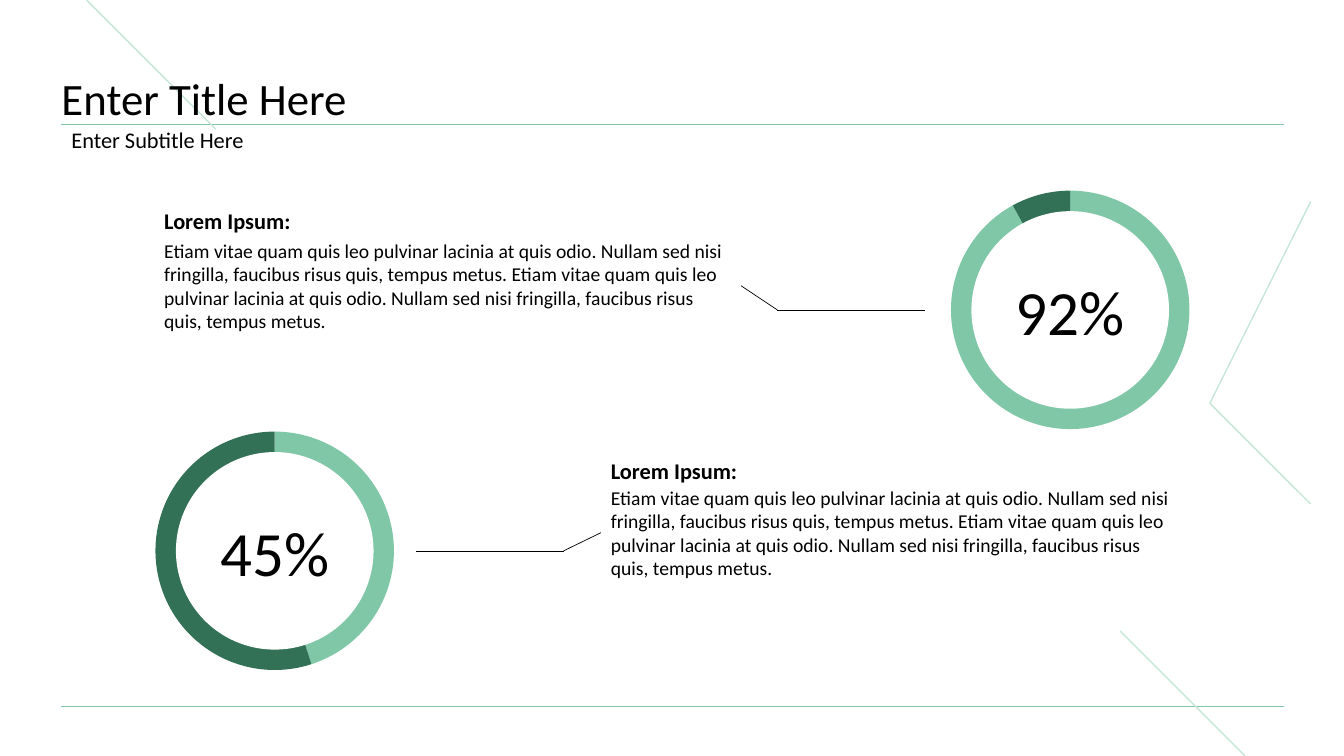
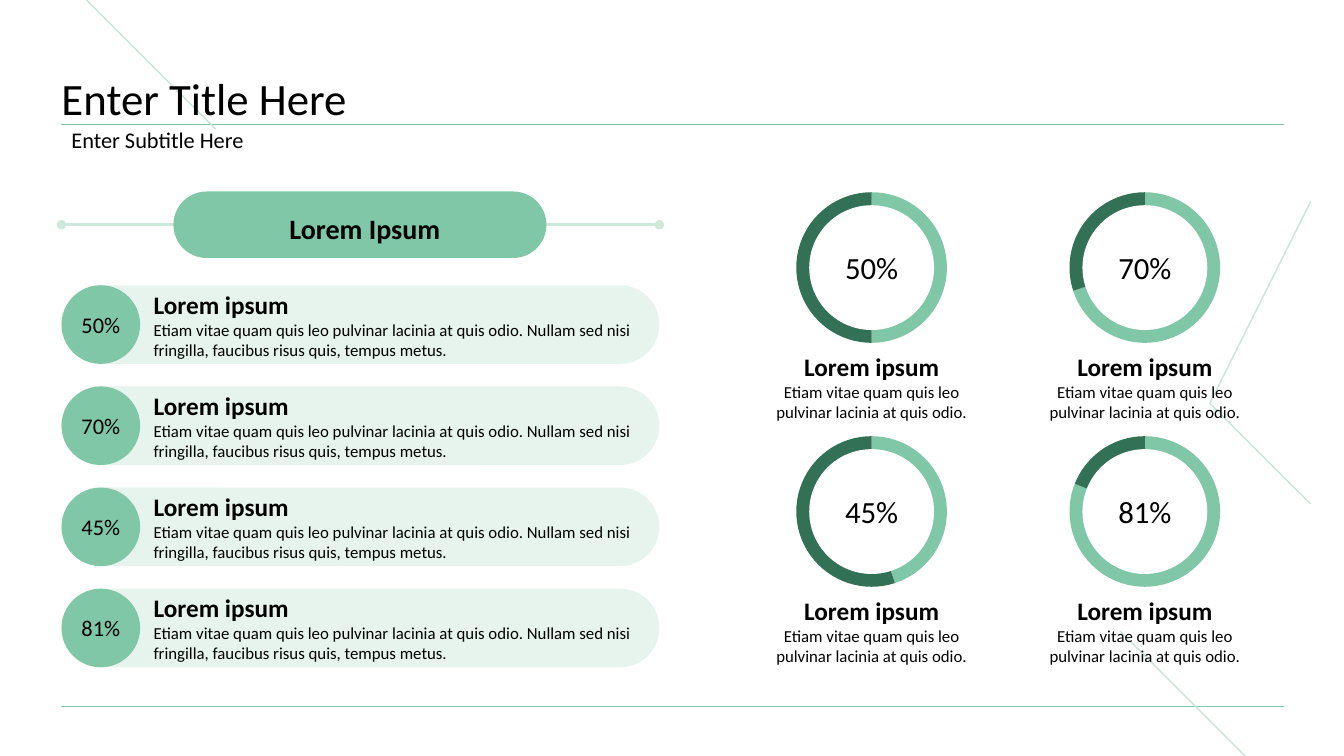
from dataclasses import dataclass

import lxml.etree
import pptx
import pptx.chart.data
import pptx.dml.color
import pptx.enum.chart
import pptx.enum.shapes
import pptx.enum.text
import pptx.oxml.ns
import pptx.shapes.base
import pptx.shapes.connector
import pptx.slide
import pptx.util

Inches = pptx.util.Inches
Align = pptx.enum.text.PP_ALIGN
Anchor = pptx.enum.text.MSO_ANCHOR
Preset = pptx.enum.shapes.MSO_SHAPE
qn = pptx.oxml.ns.qn

FONT = "Calibri"
COLORS = {
    "text": "000000",
    "white": "FFFFFF",
    "green": "80C7A7",
    "dark": "327155",
    "decoration": "C6E6D7",
    "rail": "CCE9DC",
    "pale": "E6F4ED",
}
MARGIN, CONTENT_WIDTH = 0.61, 12.12
HOLE_RATIO = 0.82
NO_INSETS = (0, 0, 0, 0)
BOX_INSETS = (0.1, 0.05, 0.1, 0.05)
SHORT_TEXT = "Etiam vitae quam quis leo pulvinar lacinia at quis odio."
SENTENCES = f"{SHORT_TEXT} Nullam sed nisi fringilla, faucibus risus quis, tempus metus."


@dataclass(frozen=True)
class Box:
    left: float
    top: float
    width: float
    height: float

    def lengths(self) -> list[pptx.util.Length]:
        return [Inches(value) for value in (self.left, self.top, self.width, self.height)]


@dataclass(frozen=True)
class Callout:
    percent: int
    ring: Box
    heading: Box
    body: Box
    bend: float
    ring_end: float
    body_side: int


CALLOUTS = (
    Callout(45, Box(1.53, 4.27, 2.39, 2.39), Box(5.96, 4.35, 5.85, 0.46),
            Box(5.96, 4.68, 5.85, 1.21), bend=5.59, ring_end=4.13, body_side=1),
    Callout(92, Box(9.42, 1.88, 2.39, 2.39), Box(1.53, 1.87, 5.82, 0.46),
            Box(1.53, 2.23, 5.82, 1.21), bend=7.71, ring_end=9.17, body_side=3),
)
PERCENTS = (50, 70, 45, 81)


def color(name: str) -> pptx.dml.color.RGBColor:
    return pptx.dml.color.RGBColor.from_string(COLORS[name])


def write_text(
    shape: pptx.shapes.base.BaseShape,
    text: str,
    *,
    size: float,
    bold: bool = False,
    align: Align = Align.LEFT,
    spacing: float = 1.0,
    anchor: Anchor = Anchor.MIDDLE,
    insets: tuple[float, float, float, float] = NO_INSETS,
) -> None:
    frame = shape.text_frame
    paragraph = frame.add_paragraph() if frame.text else frame.paragraphs[0]
    frame.word_wrap = True
    frame.vertical_anchor = anchor
    frame.margin_left, frame.margin_top, frame.margin_right, frame.margin_bottom = map(Inches, insets)
    paragraph.text = text
    paragraph.alignment = align
    paragraph.line_spacing = spacing
    paragraph.font.name = FONT
    paragraph.font.size = pptx.util.Pt(size)
    paragraph.font.bold = bold
    paragraph.font.color.rgb = color("text")


def add_text_box(slide: pptx.slide.Slide, box: Box) -> pptx.shapes.base.BaseShape:
    return slide.shapes.add_textbox(*box.lengths())


def add_filled_shape(
    slide: pptx.slide.Slide, preset: Preset, box: Box, fill: str
) -> pptx.shapes.base.BaseShape:
    shape = slide.shapes.add_shape(preset, *box.lengths())
    shape.shadow.inherit = False
    shape.fill.solid()
    shape.fill.fore_color.rgb = color(fill)
    shape.line.fill.background()
    if preset == Preset.ROUNDED_RECTANGLE:
        shape.adjustments[0] = 0.5
    return shape


def add_line(
    slide: pptx.slide.Slide,
    start: tuple[float, float],
    end: tuple[float, float],
    line_color: str,
    width: float,
    oval_ends: bool = False,
) -> pptx.shapes.connector.Connector:
    connector = slide.shapes.add_connector(
        pptx.enum.shapes.MSO_CONNECTOR.STRAIGHT, *map(Inches, (*start, *end))
    )
    connector.line.color.rgb = color(line_color)
    connector.line.width = pptx.util.Pt(width)
    properties = connector.element.spPr
    if oval_ends:
        outline = properties.find(qn("a:ln"))
        for tag in ("a:headEnd", "a:tailEnd"):
            lxml.etree.SubElement(outline, qn(tag), type="oval")
    lxml.etree.SubElement(properties, qn("a:effectLst"))
    return connector


def fill_plot_area(chart: pptx.chart.chart.Chart) -> None:
    plot_area = chart.element.find(".//" + qn("c:plotArea"))
    layout = plot_area.find(qn("c:layout"))
    if layout is None:
        layout = lxml.etree.Element(qn("c:layout"))
        plot_area.insert(0, layout)
    manual = lxml.etree.SubElement(layout, qn("c:manualLayout"))
    settings = {
        "layoutTarget": "inner", "xMode": "edge", "yMode": "edge",
        "x": "0.005", "y": "0.005", "w": "0.99", "h": "0.99",
    }
    for tag, value in settings.items():
        lxml.etree.SubElement(manual, qn(f"c:{tag}"), val=value)


def add_ring(slide: pptx.slide.Slide, box: Box, percent: int, size: float) -> None:
    data = pptx.chart.data.CategoryChartData()
    data.categories = ["1", "2"]
    data.add_series("Series 1", (percent, 100 - percent))
    chart = slide.shapes.add_chart(
        pptx.enum.chart.XL_CHART_TYPE.PIE, *box.lengths(), data
    ).chart
    chart.has_title = False
    chart.has_legend = False
    chart.font.name = FONT
    chart.font.size = pptx.util.Pt(10)
    chart.font.color.rgb = color("green")
    plot = chart.plots[0]
    plot.vary_by_categories = False
    for index, name in enumerate(("green", "dark")):
        point_format = plot.series[0].points[index].format
        point_format.fill.solid()
        point_format.fill.fore_color.rgb = color(name)
        point_format.line.fill.background()
    fill_plot_area(chart)

    diameter = box.width * HOLE_RATIO
    inset = (box.width - diameter) / 2
    hole = Box(box.left + inset, box.top + inset, diameter, diameter)
    center = add_filled_shape(slide, Preset.OVAL, hole, "white")
    write_text(center, f"{percent}%", size=size, align=Align.CENTER)


def add_base_slide(presentation: pptx.presentation.Presentation) -> pptx.slide.Slide:
    slide = presentation.slides.add_slide(presentation.slide_layouts[6])
    slide.background.fill.solid()
    slide.background.fill.fore_color.rgb = color("white")
    for y in (7.01, 1.23):
        add_line(slide, (MARGIN, y), (MARGIN + CONTENT_WIDTH, y), "green", 0.5)
    add_line(slide, (11.11, 6.26), (12.35, 7.5), "decoration", 1)
    add_line(slide, (0.86, 0), (2.14, 1.28), "decoration", 1)
    builder = slide.shapes.build_freeform(13.32, 2.47, scale=Inches(1))
    builder.add_line_segments([(12.04, 3.75), (13.32, 5.03)], close=False)
    chevron = builder.convert_to_shape()
    chevron.shadow.inherit = False
    chevron.fill.background()
    chevron.line.color.rgb = color("decoration")
    chevron.line.width = pptx.util.Pt(1)

    title = add_text_box(slide, Box(MARGIN, 0.44, CONTENT_WIDTH, 0.8))
    write_text(title, "Enter Title Here", size=32, spacing=0.9, anchor=Anchor.BOTTOM)
    subtitle = add_text_box(slide, Box(MARGIN, 1.23, CONTENT_WIDTH, 0.34))
    write_text(subtitle, "Enter Subtitle Here", size=16, spacing=0.9, insets=BOX_INSETS)
    return slide


def add_callout(slide: pptx.slide.Slide, callout: Callout) -> None:
    add_ring(slide, callout.ring, callout.percent, 45)
    body = add_text_box(slide, callout.body)
    write_text(body, f"{SENTENCES} {SENTENCES}", size=14, insets=BOX_INSETS)
    heading = add_text_box(slide, callout.heading)
    write_text(heading, "Lorem Ipsum:", size=16, bold=True, spacing=1.5,
               anchor=Anchor.TOP, insets=BOX_INSETS)
    level = callout.ring.top + callout.ring.height / 2
    bend = (callout.bend, level)
    add_line(slide, (callout.ring_end, level), bend, "text", 0.5)
    branch = add_line(slide, bend, bend, "text", 0.5)
    branch.end_connect(body, callout.body_side)


def add_list_row(slide: pptx.slide.Slide, top: float, percent: int) -> None:
    height = 0.78
    bar = add_filled_shape(slide, Preset.ROUNDED_RECTANGLE, Box(MARGIN, top, 5.93, height), "pale")
    insets = (0.8, 0, 0, 0)
    write_text(bar, "Lorem ipsum", size=18, bold=True, insets=insets)
    write_text(bar, SENTENCES, size=12, insets=insets)
    badge = add_filled_shape(slide, Preset.OVAL, Box(MARGIN, top, height, height), "green")
    write_text(badge, f"{percent}%", size=16, align=Align.CENTER)


def add_captioned_ring(slide: pptx.slide.Slide, left: float, top: float, percent: int) -> None:
    diameter, caption_width = 1.51, 2.38
    add_ring(slide, Box(left, top, diameter, diameter), percent, 22)
    caption_left = left - (caption_width - diameter) / 2
    caption = add_text_box(slide, Box(caption_left, top + 1.54, caption_width, 0.81))
    for text, size, bold in (("Lorem ipsum", 18, True), (SHORT_TEXT, 12, False)):
        write_text(caption, text, size=size, bold=bold, align=Align.CENTER,
                   anchor=Anchor.TOP, insets=BOX_INSETS)


def build_callout_slide(presentation: pptx.presentation.Presentation) -> None:
    slide = add_base_slide(presentation)
    for callout in CALLOUTS:
        add_callout(slide, callout)


def build_overview_slide(presentation: pptx.presentation.Presentation) -> None:
    slide = add_base_slide(presentation)
    add_line(slide, (MARGIN, 2.23), (6.54, 2.23), "rail", 2.25, oval_ends=True)
    pill = add_filled_shape(slide, Preset.ROUNDED_RECTANGLE, Box(1.72, 1.9, 3.7, 0.66), "green")
    write_text(pill, "Lorem Ipsum", size=20, bold=True, align=Align.CENTER,
               spacing=1.5, insets=(0.1, 0, 0, 0.1))
    row_pitch = (5.84 - 2.83) / (len(PERCENTS) - 1)
    for index, percent in enumerate(PERCENTS):
        add_list_row(slide, 2.83 + index * row_pitch, percent)
        row, column = divmod(index, 2)
        add_captioned_ring(slide, 7.89 + column * 2.71, 1.9 + row * 2.42, percent)


def main() -> None:
    presentation = pptx.Presentation()
    presentation.slide_width = Inches(13.33)
    presentation.slide_height = Inches(7.5)
    build_callout_slide(presentation)
    build_overview_slide(presentation)
    presentation.save("out.pptx")


if __name__ == "__main__":
    main()
